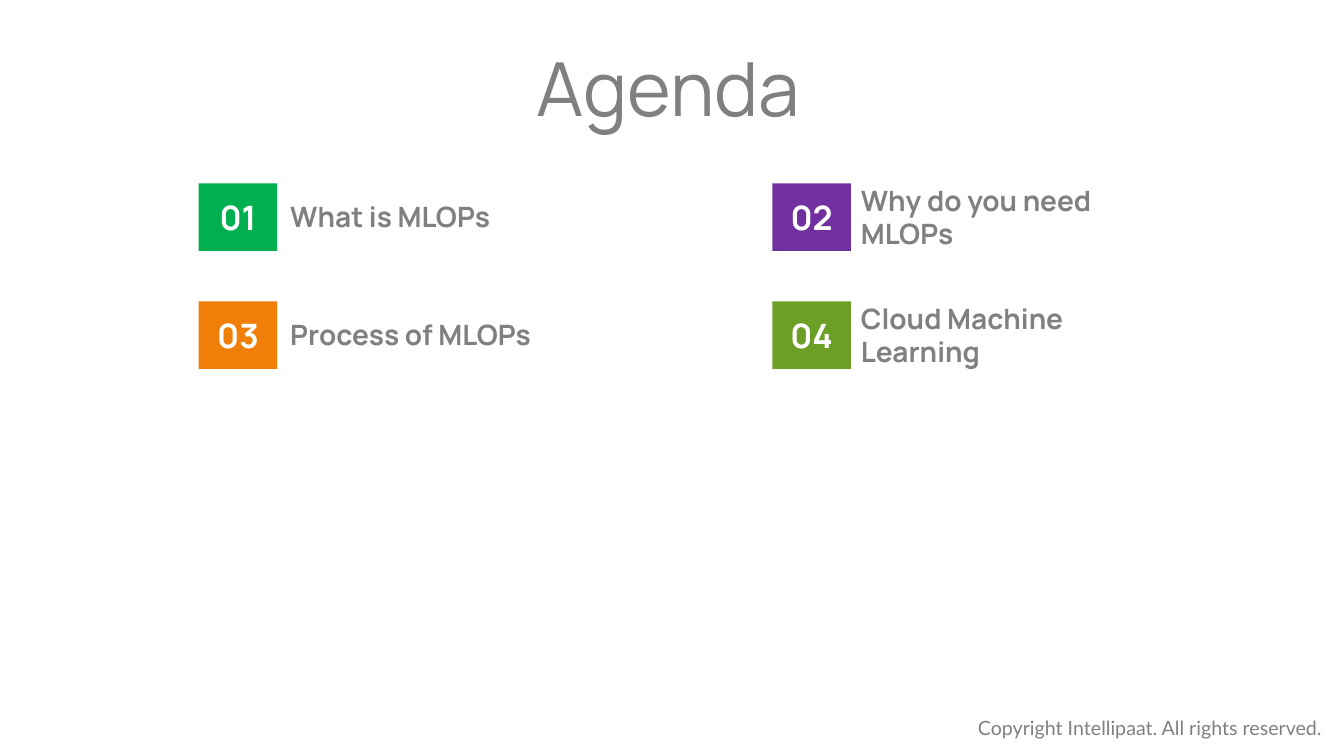
from dataclasses import dataclass

import pptx
import pptx.dml.color
import pptx.enum.shapes
import pptx.enum.text
import pptx.shapes.base
import pptx.slide
import pptx.text.text
import pptx.util

EMU_PER_PX = 9144
WHITE = pptx.dml.color.RGBColor(0xFF, 0xFF, 0xFF)
GREY = pptx.dml.color.RGBColor(0x80, 0x80, 0x80)
GREEN = pptx.dml.color.RGBColor(0x00, 0xB0, 0x50)
PURPLE = pptx.dml.color.RGBColor(0x70, 0x30, 0xA0)
ORANGE = pptx.dml.color.RGBColor(0xF0, 0x7F, 0x09)
OLIVE = pptx.dml.color.RGBColor(0x6B, 0x9F, 0x25)

BADGE_WIDTH, BADGE_HEIGHT = 78, 67
FIRST_ROW_TOP, ROW_STEP = 182, 117
LABEL_LINE, LABEL_PADDING = 33, 11


@dataclass(frozen=True)
class Column:
    badge_left: int
    label_left: int
    label_width: int
    label_lines: int


@dataclass(frozen=True)
class Topic:
    label: str
    colour: pptx.dml.color.RGBColor


@dataclass(frozen=True)
class TextStyle:
    font: str
    size: float
    colour: pptx.dml.color.RGBColor
    bold: bool = False


COLUMNS = [Column(197, 278, 371, 1), Column(766, 844, 300, 2)]
TOPICS = [
    Topic("What is MLOPs", GREEN),
    Topic("Why do you need MLOPs", PURPLE),
    Topic("Process of MLOPs", ORANGE),
    Topic("Cloud Machine Learning", OLIVE),
]
TITLE_STYLE = TextStyle("Manrope", 53.3, GREY)
NUMBER_STYLE = TextStyle("Manrope", 24, WHITE, True)
LABEL_STYLE = TextStyle("Manrope", 20, GREY, True)
FOOTER_STYLE = TextStyle("Lato", 14, GREY)


def px(length: int) -> pptx.util.Emu:
    return pptx.util.Emu(length * EMU_PER_PX)


def write_text(shape: pptx.shapes.base.BaseShape, text: str,
               style: TextStyle) -> pptx.text.text._Paragraph:
    shape.text_frame.text = text
    para = shape.text_frame.paragraphs[0]
    for span in para.runs:
        span.font.name = style.font
        span.font.size = pptx.util.Pt(style.size)
        span.font.bold = style.bold
        span.font.color.rgb = style.colour
    return para


def add_text(page: pptx.slide.Slide, left: int, top: int, width: int, height: int,
             text: str, style: TextStyle) -> pptx.shapes.base.BaseShape:
    box = page.shapes.add_textbox(px(left), px(top), px(width), px(height))
    box.text_frame.word_wrap = True
    write_text(box, text, style)
    return box


def add_topic(page: pptx.slide.Slide, index: int, topic: Topic) -> None:
    row, position = divmod(index, len(COLUMNS))
    column = COLUMNS[position]
    top = FIRST_ROW_TOP + row * ROW_STEP
    badge = page.shapes.add_shape(
        pptx.enum.shapes.MSO_SHAPE.RECTANGLE,
        px(column.badge_left), px(top), px(BADGE_WIDTH), px(BADGE_HEIGHT))
    badge.shadow.inherit = False
    badge.fill.solid()
    badge.fill.fore_color.rgb = topic.colour
    badge.line.fill.background()
    badge.text_frame.vertical_anchor = pptx.enum.text.MSO_ANCHOR.MIDDLE
    para = write_text(badge, f"{index + 1:02d}", NUMBER_STYLE)
    para.alignment = pptx.enum.text.PP_ALIGN.CENTER

    label_height = column.label_lines * LABEL_LINE + LABEL_PADDING
    label_top = top + (BADGE_HEIGHT - label_height) // 2
    add_text(page, column.label_left, label_top, column.label_width,
             label_height, topic.label, LABEL_STYLE)


def main() -> None:
    deck = pptx.Presentation()
    deck.slide_width, deck.slide_height = px(1333), px(750)
    page = deck.slides.add_slide(deck.slide_layouts[6])

    title = add_text(page, 364, 47, 607, 84, "Agenda", TITLE_STYLE)
    title.text_frame.margin_left = 0
    title_para = title.text_frame.paragraphs[0]
    title_para.alignment = pptx.enum.text.PP_ALIGN.CENTER
    title_para.line_spacing = 0.9

    for index, topic in enumerate(TOPICS):
        add_topic(page, index, topic)

    footer = add_text(page, 960, 705, 371, 34,
                      "Copyright Intellipaat. All rights reserved.", FOOTER_STYLE)
    footer.text_frame.word_wrap = False
    footer.text_frame.auto_size = pptx.enum.text.MSO_AUTO_SIZE.SHAPE_TO_FIT_TEXT

    deck.save("out.pptx")


if __name__ == "__main__":
    main()
